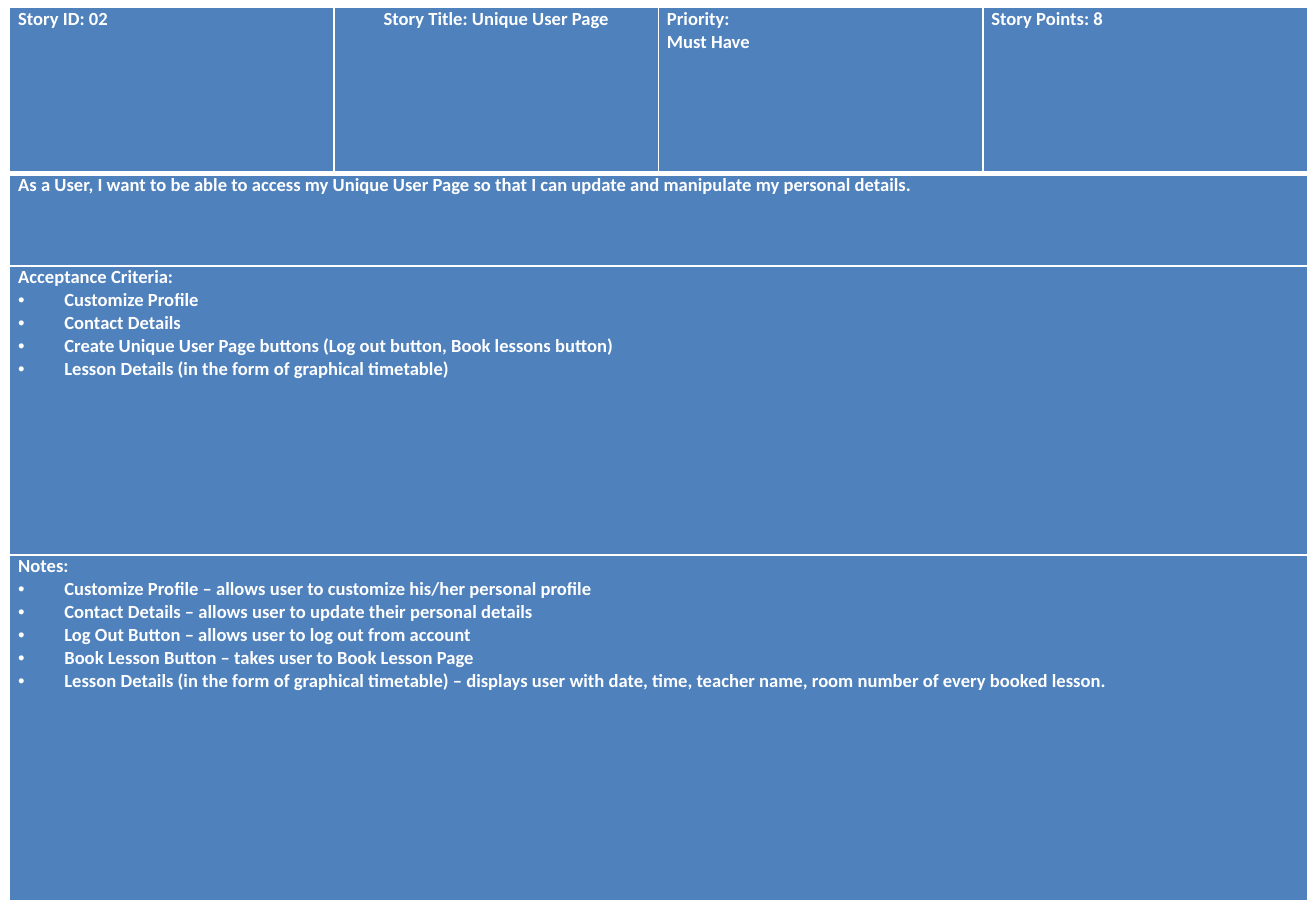
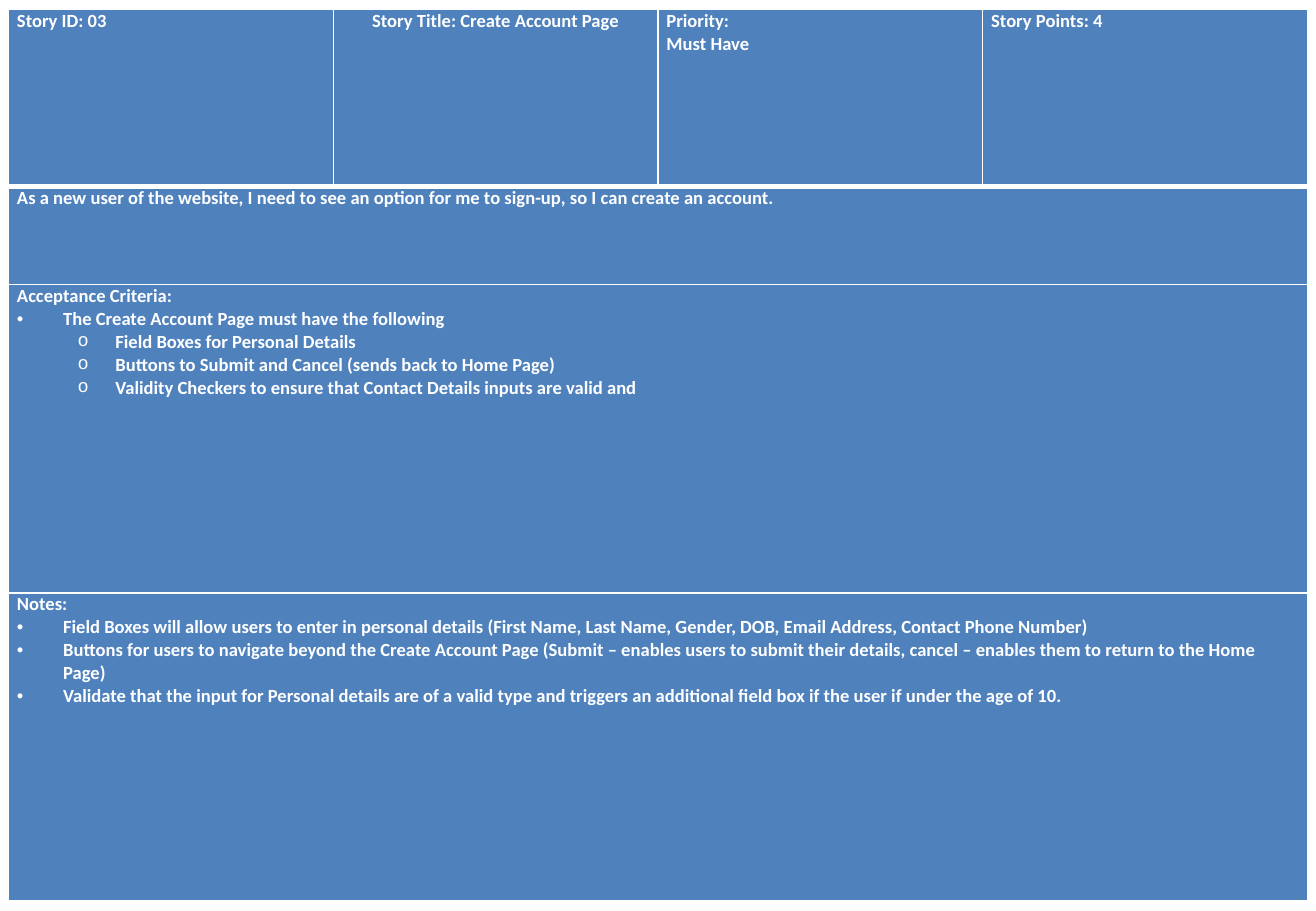
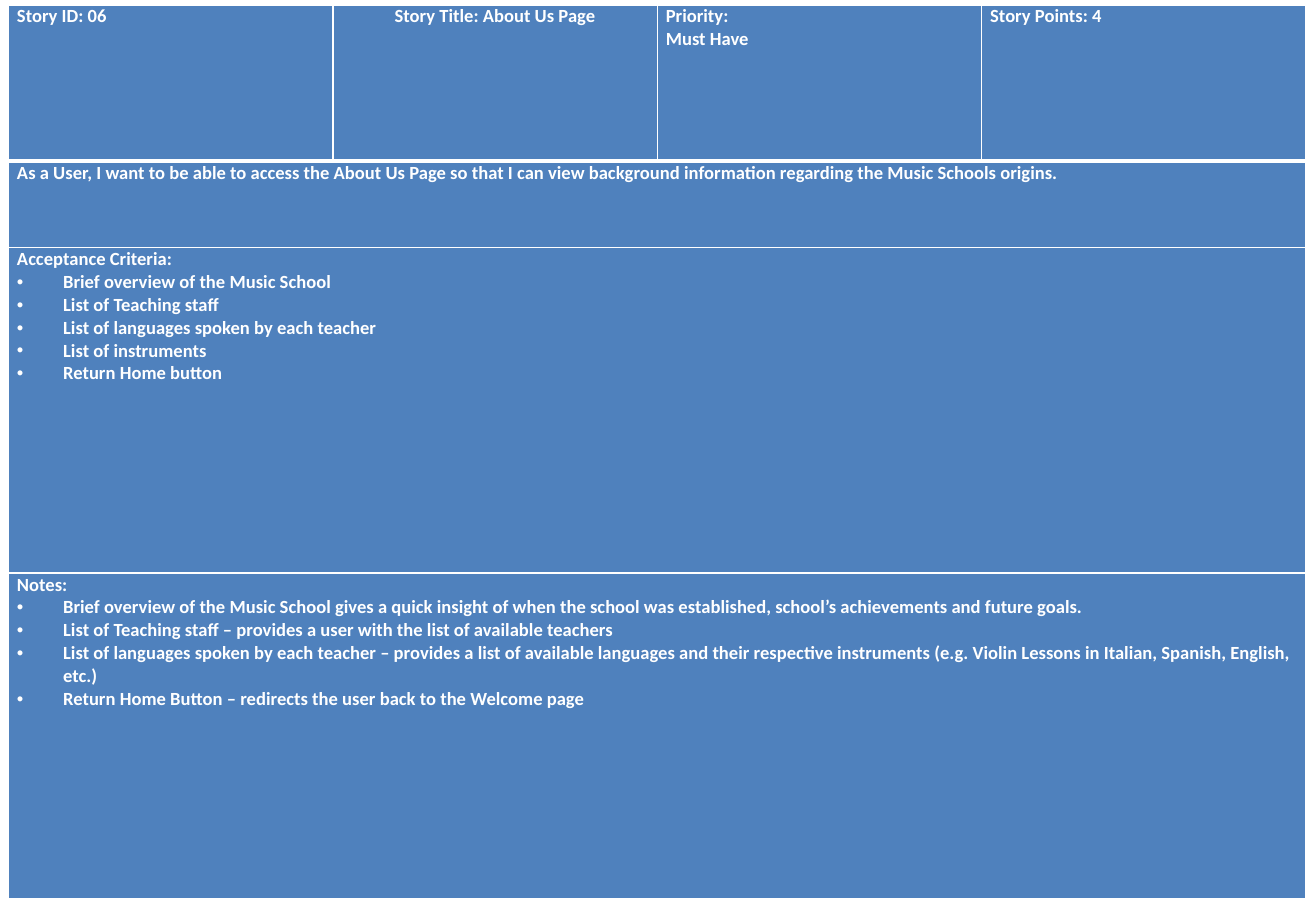
from dataclasses import dataclass

from lxml import etree
from pptx import Presentation
from pptx import util as u
from pptx.dml.color import RGBColor
from pptx.enum import text
from pptx.oxml.ns import qn


@dataclass(frozen=True)
class Theme:
    fill: str = "4F81BD"
    ink: str = "FFFFFF"
    font: str = "Calibri"
    size: int = 11
    rule: int = 1
    header_rule: int = 3


theme = Theme()
COLUMNS = 4
SIDE_INSET = 0.07
# For each list level: bullet, bullet font, text indent, hanging indent, tab stop
BULLETS = {1: ("•", "Arial", 0.38, -0.38, 0.5), 2: ("o", "Courier New", 0.81, -0.31, 1)}

# Row weights divide the table height; entries are (list level, wording).
stories = [
    {
        "place": (0.08, 0.06, 10.68, 7.36),
        "weights": (1.8, 1, 3.13, 3.75),
        "id": "02", "title": "Unique User Page", "points": 8,
        "story": "As a User, I want to be able to access my Unique User Page so that I can update "
                 "and manipulate my personal details.",
        "criteria": [
            (1, "Customize Profile"),
            (1, "Contact Details"),
            (1, "Create Unique User Page buttons (Log out button, Book lessons button)"),
            (1, "Lesson Details (in the form of graphical timetable)"),
        ],
        "notes": [
            (1, "Customize Profile – allows user to customize his/her personal profile"),
            (1, "Contact Details – allows user to update their personal details"),
            (1, "Log Out Button – allows user to log out from account"),
            (1, "Book Lesson Button – takes user to Book Lesson Page"),
            (1, "Lesson Details (in the form of graphical timetable) – displays user with date, time, "
                "teacher name, room number of every booked lesson."),
        ],
    },
    {
        "place": (0.07, 0.08, 10.69, 7.34),
        "weights": (1.8, 1, 3.14, 3.14),
        "id": "03", "title": "Create Account Page", "points": 4,
        "story": "As a new user of the website, I need to see an option for me to sign-up, "
                 "so I can create an account.",
        "criteria": [
            (1, "The Create Account Page must have the following"),
            (2, "Field Boxes for Personal Details"),
            (2, "Buttons to Submit and Cancel (sends back to Home Page)"),
            (2, "Validity Checkers to ensure that Contact Details inputs are valid and"),
        ],
        "notes": [
            (1, "Field Boxes will allow users to enter in personal details (First Name, Last Name, "
                "Gender, DOB, Email Address, Contact Phone Number)"),
            (1, "Buttons for users to navigate beyond the Create Account Page (Submit – enables users to "
                "submit their details, cancel – enables them to return to the Home Page)"),
            (1, "Validate that the input for Personal details are of a valid type and triggers an "
                "additional field box if the user if under the age of 10."),
        ],
    },
    {
        "place": (0.07, 0.04, 10.68, 7.36),
        "weights": (1.81, 1, 3.77, 3.77),
        "id": "06", "title": "About Us Page", "points": 4,
        "story": "As a User, I want to be able to access the About Us Page so that I can view "
                 "background information regarding the Music Schools origins.",
        "criteria": [
            (1, "Brief overview of the Music School"),
            (1, "List of Teaching staff"),
            (1, "List of languages spoken by each teacher"),
            (1, "List of instruments"),
            (1, "Return Home button"),
        ],
        "notes": [
            (1, "Brief overview of the Music School gives a quick insight of when the school was "
                "established, school’s achievements and future goals."),
            (1, "List of Teaching staff – provides a user with the list of available teachers"),
            (1, "List of languages spoken by each teacher – provides a list of available languages and "
                "their respective instruments (e.g. Violin Lessons in Italian, Spanish, English, etc.)"),
            (1, "Return Home Button – redirects the user back to the Welcome page"),
        ],
    },
]


def format_cell(cell, top, bottom):
    """Set the borders, fill and insets; top and bottom are line widths in points."""
    properties = cell._tc.get_or_add_tcPr()
    for side, width in (("L", theme.rule), ("R", theme.rule), ("T", top), ("B", bottom)):
        line = etree.SubElement(properties, qn(f"a:ln{side}"), w=str(u.Pt(width)))
        solid = etree.SubElement(line, qn("a:solidFill"))
        etree.SubElement(solid, qn("a:srgbClr"), val=theme.ink)
    cell.fill.solid()
    cell.fill.fore_color.rgb = RGBColor.from_string(theme.fill)
    cell.margin_left = cell.margin_right = u.Inches(SIDE_INSET)
    cell.margin_top = cell.margin_bottom = 0


def write_cell(cell, entries, alignment=text.PP_ALIGN.LEFT):
    """Write (level, wording) entries, one a paragraph; level 0 has no bullet."""
    frame = cell.text_frame
    for index, (level, wording) in enumerate(entries):
        paragraph = frame.add_paragraph() if index else frame.paragraphs[0]
        paragraph.text = wording
        paragraph.alignment = alignment
        if level:
            bullet, bullet_font, indent, hanging, tab = BULLETS[level]
            paragraph.level = level - 1
            properties = paragraph._p.get_or_add_pPr()
            properties.set("marL", str(u.Inches(indent)))
            properties.set("indent", str(u.Inches(hanging)))
            etree.SubElement(properties, qn("a:buFont"), typeface=bullet_font)
            etree.SubElement(properties, qn("a:buChar"), char=bullet)
            tabs = etree.SubElement(properties, qn("a:tabLst"))
            etree.SubElement(tabs, qn("a:tab"), pos=str(u.Inches(tab)), algn="l")
        paragraph.font.name = theme.font
        paragraph.font.size = u.Pt(theme.size)
        paragraph.font.bold = True
        paragraph.font.color.rgb = RGBColor.from_string(theme.ink)


presentation = Presentation()
presentation.slide_width = u.Inches(10.83)
presentation.slide_height = u.Inches(7.5)
blank_layout = presentation.slide_layouts[6]

for story in stories:
    slide = presentation.slides.add_slide(blank_layout)
    left, top, width, height = (u.Inches(length) for length in story["place"])
    weights = story["weights"]
    table = slide.shapes.add_table(len(weights), COLUMNS, left, top, width, height).table
    table.first_row = table.first_col = True
    table.horz_banding = False
    for column in table.columns:
        column.width = width // COLUMNS
    for row, weight in zip(table.rows, weights):
        row.height = int(height * weight / sum(weights))

    for row_index in range(len(weights)):
        above = theme.header_rule if row_index == 1 else theme.rule
        below = theme.header_rule if row_index == 0 else theme.rule
        for column_index in range(COLUMNS):
            format_cell(table.cell(row_index, column_index), above, below)

    headings = [
        [(0, f"Story ID: {story['id']}")],
        [(0, f"Story Title: {story['title']}")],
        [(0, "Priority:"), (0, "Must Have")],
        [(0, f"Story Points: {story['points']}")],
    ]
    for column_index, entries in enumerate(headings):
        centred = column_index == 1
        write_cell(table.cell(0, column_index), entries,
                   text.PP_ALIGN.CENTER if centred else text.PP_ALIGN.LEFT)

    sections = [
        [(0, story["story"])],
        [(0, "Acceptance Criteria:")] + story["criteria"],
        [(0, "Notes:")] + story["notes"],
    ]
    for row_index, entries in enumerate(sections, start=1):
        cell = table.cell(row_index, 0)
        cell.merge(table.cell(row_index, COLUMNS - 1))
        write_cell(cell, entries)

presentation.save("out.pptx")
